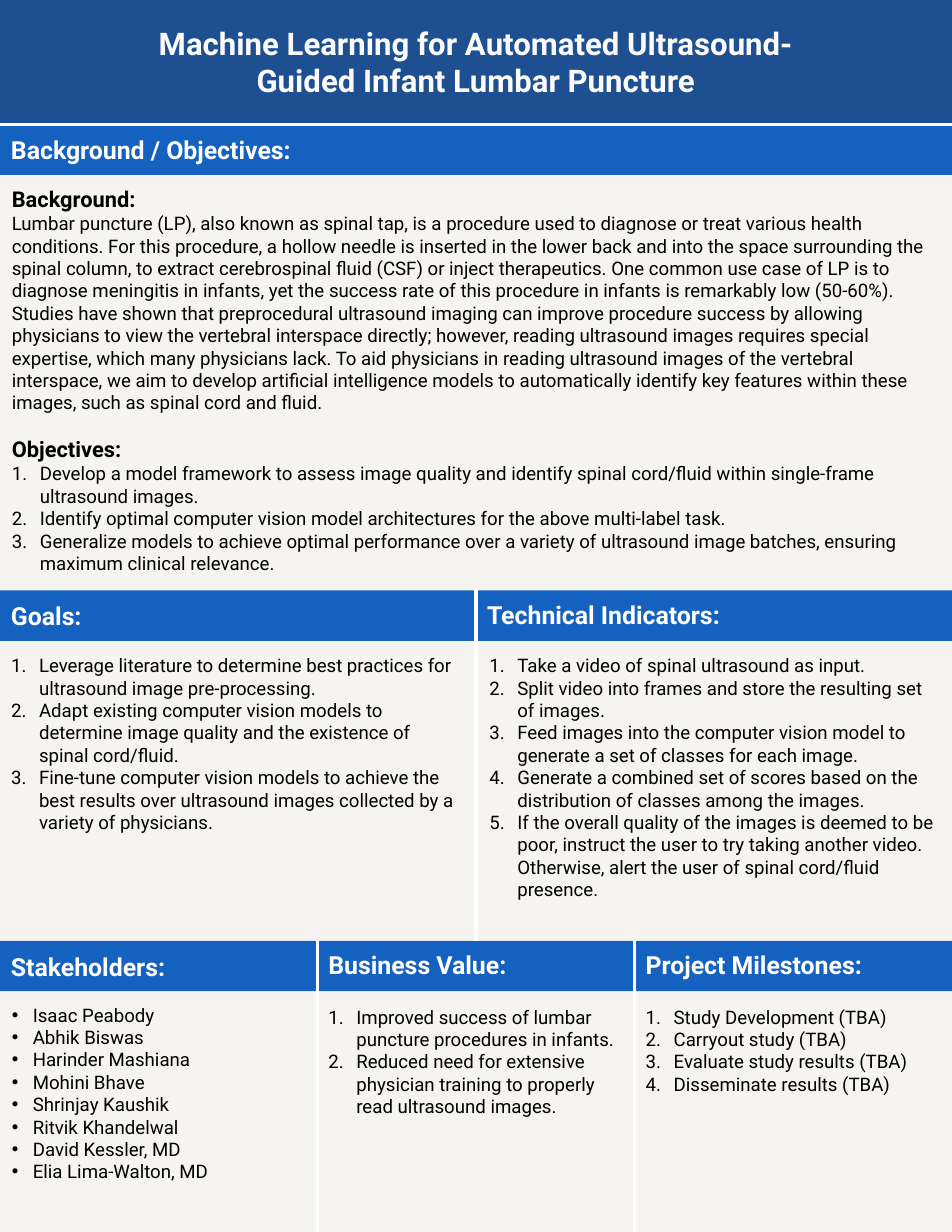
from pptx import Presentation
from pptx.dml.color import RGBColor
from pptx.enum.shapes import MSO_CONNECTOR, MSO_SHAPE
from pptx.enum.text import MSO_ANCHOR, PP_ALIGN
from pptx.oxml.ns import qn
from pptx.util import Pt
from lxml.etree import SubElement

NAVY = RGBColor(0x1D, 0x4F, 0x91)
BLUE = RGBColor(0x15, 0x61, 0xBF)
CREAM = RGBColor(0xF6, 0xF4, 0xF0)
IVORY = RGBColor(0xFC, 0xFB, 0xFA)
WHITE = RGBColor(0xFF, 0xFF, 0xFF)
BLACK = RGBColor(0, 0, 0)

WIDTH, HEIGHT = 612, 792
BAR_H = 32.6
BACKGROUND_Y, GOALS_Y, STAKEHOLDERS_Y = 80, 379.5, 604.8
HALF, THIRD = WIDTH / 2, WIDTH / 3

BACKGROUND = [
    "Lumbar puncture (LP), also known as spinal tap, is a procedure used to diagnose or treat "
    "various health conditions.",
    "For this procedure, a hollow needle is inserted in the lower back and into the space "
    "surrounding the spinal column, to extract cerebrospinal fluid (CSF) or inject therapeutics.",
    "One common use case of LP is to diagnose meningitis in infants, yet the success rate of this "
    "procedure in infants is remarkably low (50-60%).",
    "Studies have shown that preprocedural ultrasound imaging can improve procedure success by "
    "allowing physicians to view the vertebral interspace directly; however, reading ultrasound "
    "images requires special expertise, which many physicians lack.",
    "To aid physicians in reading ultrasound images of the vertebral interspace, we aim to develop "
    "artificial intelligence models to automatically identify key features within these images, "
    "such as spinal cord and fluid.",
]
OBJECTIVES = [
    "Develop a model framework to assess image quality and identify spinal cord/fluid within "
    "single-frame ultrasound images.",
    "Identify optimal computer vision model architectures for the above multi-label task.",
    "Generalize models to achieve optimal performance over a variety of ultrasound image batches, "
    "ensuring maximum clinical relevance.",
]
GOALS = [
    "Leverage literature to determine best practices for ultrasound image pre-processing.",
    "Adapt existing computer vision models to determine image quality and the existence of "
    "spinal cord/fluid.",
    "Fine-tune computer vision models to achieve the best results over ultrasound images "
    "collected by a variety of physicians.",
]
INDICATORS = [
    "Take a video of spinal ultrasound as input.",
    "Split video into frames and store the resulting set of images.",
    "Feed images into the computer vision model to generate a set of classes for each image.",
    "Generate a combined set of scores based on the distribution of classes among the images.",
    "If the overall quality of the images is deemed to be poor, instruct the user to try taking "
    "another video. Otherwise, alert the user of spinal cord/fluid presence.",
]
STAKEHOLDERS = [
    "Isaac Peabody", "Abhik Biswas", "Harinder Mashiana", "Mohini Bhave", "Shrinjay Kaushik",
    "Ritvik Khandelwal", "David Kessler, MD", "Elia Lima-Walton, MD",
]
VALUES = [
    "Improved success of lumbar puncture procedures in infants.",
    "Reduced need for extensive physician training to properly read ultrasound images.",
]
MILESTONES = [
    "Study Development (TBA)", "Carryout study (TBA)", "Evaluate study results (TBA)",
    "Disseminate results (TBA)",
]


class Poster:
    font = "Roboto"
    body_size, subhead_size, heading_size, title_size = 12, 14, 16, 20

    def __init__(self, slide):
        self.s = slide

    def panel(self, y, h, color):
        """Draw a full-width band."""
        sp = self.s.shapes.add_shape(MSO_SHAPE.RECTANGLE, 0, Pt(y), Pt(WIDTH), Pt(h))
        sp.shadow.inherit = False
        sp.fill.solid()
        sp.fill.fore_color.rgb = color
        sp.line.fill.background()
        return sp

    def bar(self, y, text):
        tf = self.panel(y, BAR_H, BLUE).text_frame
        tf.vertical_anchor = MSO_ANCHOR.MIDDLE
        self.heading(tf, text)

    def divider(self, x1, y1, x2, y2):
        line = self.s.shapes.add_connector(
            MSO_CONNECTOR.STRAIGHT, Pt(x1), Pt(y1), Pt(x2), Pt(y2))
        line.line.color.rgb = WHITE
        line.line.width = Pt(2.25)
        SubElement(line._element.spPr, qn("a:effectLst"))

    def box(self, x, y, w, h):
        tf = self.s.shapes.add_textbox(Pt(x), Pt(y), Pt(w), Pt(h)).text_frame
        tf.word_wrap = True
        return tf

    def paragraph(self, tf, text, size=body_size, color=BLACK, bold=False,
                  align=PP_ALIGN.LEFT):
        p = tf.paragraphs[0]
        if p.runs:
            p = tf.add_paragraph()
        p.alignment = align
        r = p.add_run()
        r.text = text
        r.font.name = self.font
        r.font.size = Pt(size)
        r.font.bold = bold
        r.font.color.rgb = color
        return p

    def heading(self, tf, text):
        self.paragraph(tf, text, self.heading_size, WHITE, True)

    def subhead(self, tf, text):
        return self.paragraph(tf, text, self.subhead_size, bold=True)

    def items(self, tf, texts, numbered=True):
        indent = Pt(18 if numbered else 13.5)
        for text in texts:
            pPr = self.paragraph(tf, text)._p.get_or_add_pPr()
            pPr.set("marL", str(indent))
            pPr.set("indent", str(-indent))
            if numbered:
                SubElement(pPr, qn("a:buFont"), typeface="+mj-lt")
                SubElement(pPr, qn("a:buAutoNum"), type="arabicPeriod")
            else:
                SubElement(pPr, qn("a:buFont"), typeface="Arial")
                SubElement(pPr, qn("a:buChar"), char="•")


def main():
    prs = Presentation()
    prs.slide_width, prs.slide_height = Pt(WIDTH), Pt(HEIGHT)
    poster = Poster(prs.slides.add_slide(prs.slide_layouts[6]))

    poster.panel(0, BACKGROUND_Y, NAVY)
    poster.paragraph(
        poster.box(87.8, 12.2, 436.3, 55.4),
        "Machine Learning for Automated Ultrasound-Guided Infant Lumbar Puncture",
        poster.title_size, IVORY, True, PP_ALIGN.CENTER)

    sections = [
        (BACKGROUND_Y, GOALS_Y, "Background / Objectives:"),
        (GOALS_Y, STAKEHOLDERS_Y, "Goals:"),
        (STAKEHOLDERS_Y, HEIGHT, "Stakeholders:"),
    ]
    for top, bottom, text in sections:
        poster.bar(top, text)
        poster.panel(top + BAR_H, bottom - top - BAR_H, CREAM)

    poster.divider(0, BACKGROUND_Y, WIDTH, BACKGROUND_Y)
    poster.divider(HALF, GOALS_Y, HALF, STAKEHOLDERS_Y)
    for x in (THIRD, 2 * THIRD):
        poster.divider(x, STAKEHOLDERS_Y, x, HEIGHT)

    for x, y, w, text in [
        (HALF, GOALS_Y, HALF, "Technical Indicators:"),
        (THIRD, STAKEHOLDERS_Y, THIRD, "Business Value:"),
        (2 * THIRD, STAKEHOLDERS_Y, THIRD, "Project Milestones:"),
    ]:
        poster.heading(poster.box(x, y + 2.2, w, 26.7), text)

    tf = poster.box(0.5, 116, 614, 259)
    poster.subhead(tf, "Background:")
    poster.paragraph(tf, " ".join(BACKGROUND))
    poster.subhead(tf, "Objectives:").space_before = Pt(14.4)
    poster.items(tf, OBJECTIVES)

    for x, y, w, h, texts in [
        (0, 416.9, HALF, 123.8, GOALS),
        (307.5, 416.9, HALF, 181.4, INDICATORS),
        (THIRD, 642.8, THIRD, 94.3, VALUES),
        (2 * THIRD, 642.8, THIRD, 65.5, MILESTONES),
    ]:
        poster.items(poster.box(x, y, w, h), texts)
    poster.items(poster.box(0.5, 641.5, THIRD, 123.8), STAKEHOLDERS, numbered=False)

    prs.save("out.pptx")


if __name__ == "__main__":
    main()
